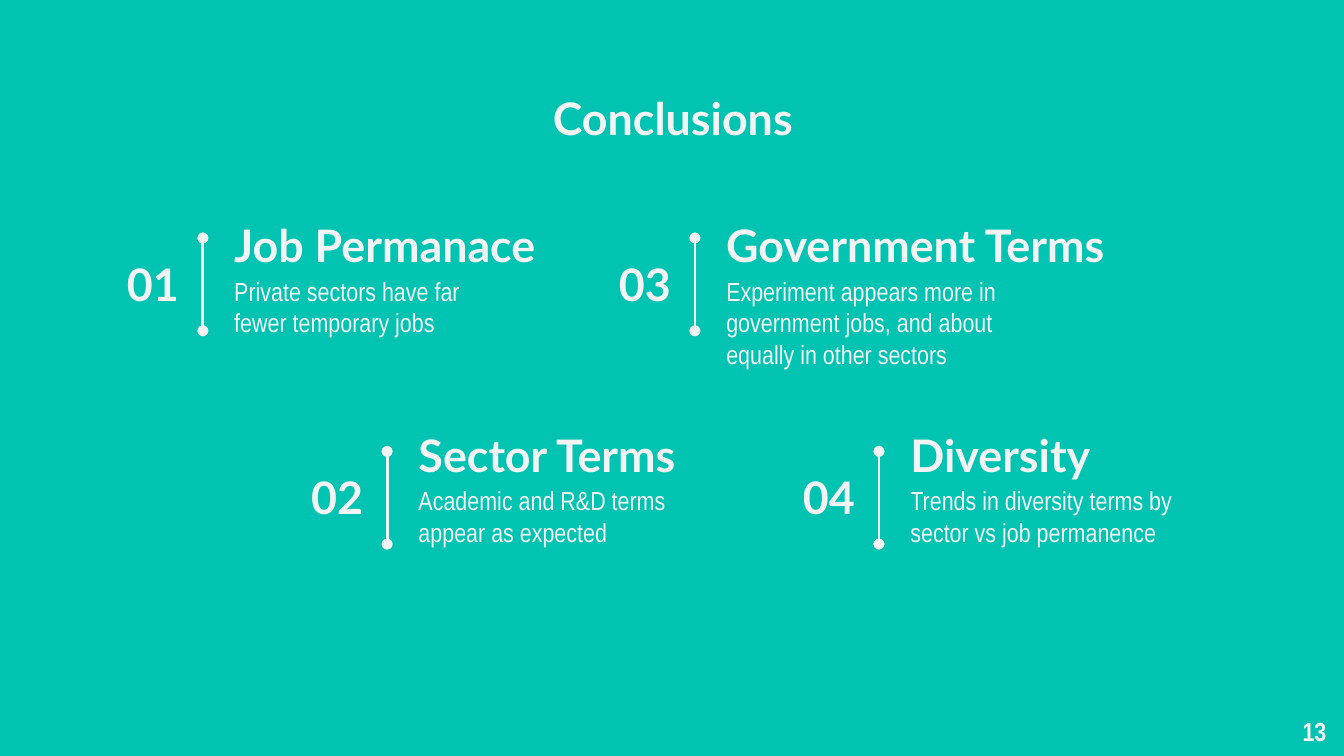
from lxml import etree
from pptx import Presentation
from pptx.dml.color import RGBColor
from pptx.enum.shapes import MSO_CONNECTOR
from pptx.enum.text import MSO_ANCHOR, MSO_AUTO_SIZE, PP_ALIGN
from pptx.oxml.ns import qn
from pptx.util import Pt

TEAL = RGBColor(0x00, 0xC3, 0xB1)
PALE = RGBColor(0xF3, 0xF3, 0xF3)
HEAD, BODY = "Lato", "Arial Narrow"
LEFT, MID, RIGHT = PP_ALIGN.LEFT, PP_ALIGN.CENTER, PP_ALIGN.RIGHT
TOP, CENTER = MSO_ANCHOR.TOP, MSO_ANCHOR.MIDDLE
FIXED = MSO_AUTO_SIZE.NONE
STRAIGHT = MSO_CONNECTOR.STRAIGHT

# Row: top of the box, gap from there to the rod
UPPER, LOWER = (114.5, 13), (226.8, 15)
# Row, left, number, heading, heading width, body, body width
ITEMS = [
    (UPPER, 55.4, "01", "Job Permanace", 184,
     "Private sectors have far fewer temporary jobs", 159),
    (LOWER, 154.1, "02", "Sector Terms", 184,
     "Academic and R&D terms appear as expected", 184),
    (UPPER, 319, "03", "Government Terms", 230,
     "Experiment appears more in government jobs, and about equally in other sectors", 184),
    (LOWER, 417.6, "04", "Diversity", 184,
     "Trends in diversity terms by sector vs job permanence", 184),
]


def write(shape, text, size, font, bold, align=LEFT, anchor=TOP, inset=7.2, after=0):
    """Fill a text shape with one styled paragraph."""
    frame = shape.text_frame
    frame.text = text
    frame.word_wrap = True
    frame.auto_size = FIXED
    frame.vertical_anchor = anchor
    frame.margin_left = frame.margin_right = Pt(inset)
    frame.margin_top = frame.margin_bottom = Pt(inset)
    para = frame.paragraphs[0]
    para.alignment = align
    para.space_after = Pt(after)
    style = para.runs[0].font
    style.size, style.name, style.bold = Pt(size), font, bold
    style.color.rgb = PALE


def add_text(slide, left, top, width, height, *args, **kwargs):
    box = slide.shapes.add_textbox(Pt(left), Pt(top), Pt(width), Pt(height))
    write(box, *args, **kwargs)


def add_rod(slide, x, top, height):
    """Upright line with a dot at each end."""
    rod = slide.shapes.add_connector(STRAIGHT, Pt(x), Pt(top), Pt(x), Pt(top + height))
    rod.line.color.rgb = PALE
    rod.line.width = Pt(1.5)
    line = rod.line._get_or_add_ln()
    for end in ("a:headEnd", "a:tailEnd"):
        etree.SubElement(line, qn(end), type="oval")
    etree.SubElement(rod._element.spPr, qn("a:effectLst"))


def add_title(slide, left, top, width, height):
    title = slide.shapes.title
    title.left, title.top = Pt(left), Pt(top)
    title.width, title.height = Pt(width), Pt(height)
    write(title, "Conclusions", 24, HEAD, True, MID, CENTER, inset=0)


def add_item(slide, row, left, number, heading, wide, body, width):
    """Number, rod, heading and body, placed from the box's top left."""
    top, gap = row
    add_text(slide, left, top + gap + 8, 47.5, 33, number, 24, HEAD, True, RIGHT, CENTER)
    add_rod(slide, left + 53.3, top + gap, 49.7)
    side = left + 63
    add_text(slide, side, top, wide, 33, heading, 24, HEAD, True, anchor=CENTER)
    add_text(slide, side, top + 25.7, width, 51, body, 14, BODY, False, after=16)


def main():
    deck = Presentation()
    deck.slide_width, deck.slide_height = Pt(720), Pt(405)
    slide = deck.slides.add_slide(deck.slide_layouts[5])
    fill = slide.background.fill
    fill.solid()
    fill.fore_color.rgb = TEAL

    add_title(slide, 56.9, 40.3, 607, 45.4)
    for item in ITEMS:
        add_item(slide, *item)

    # Page number
    add_text(slide, 686, 375.8, 31.7, 26, "13", 14, BODY, True, RIGHT)
    deck.save("out.pptx")


if __name__ == "__main__":
    main()
